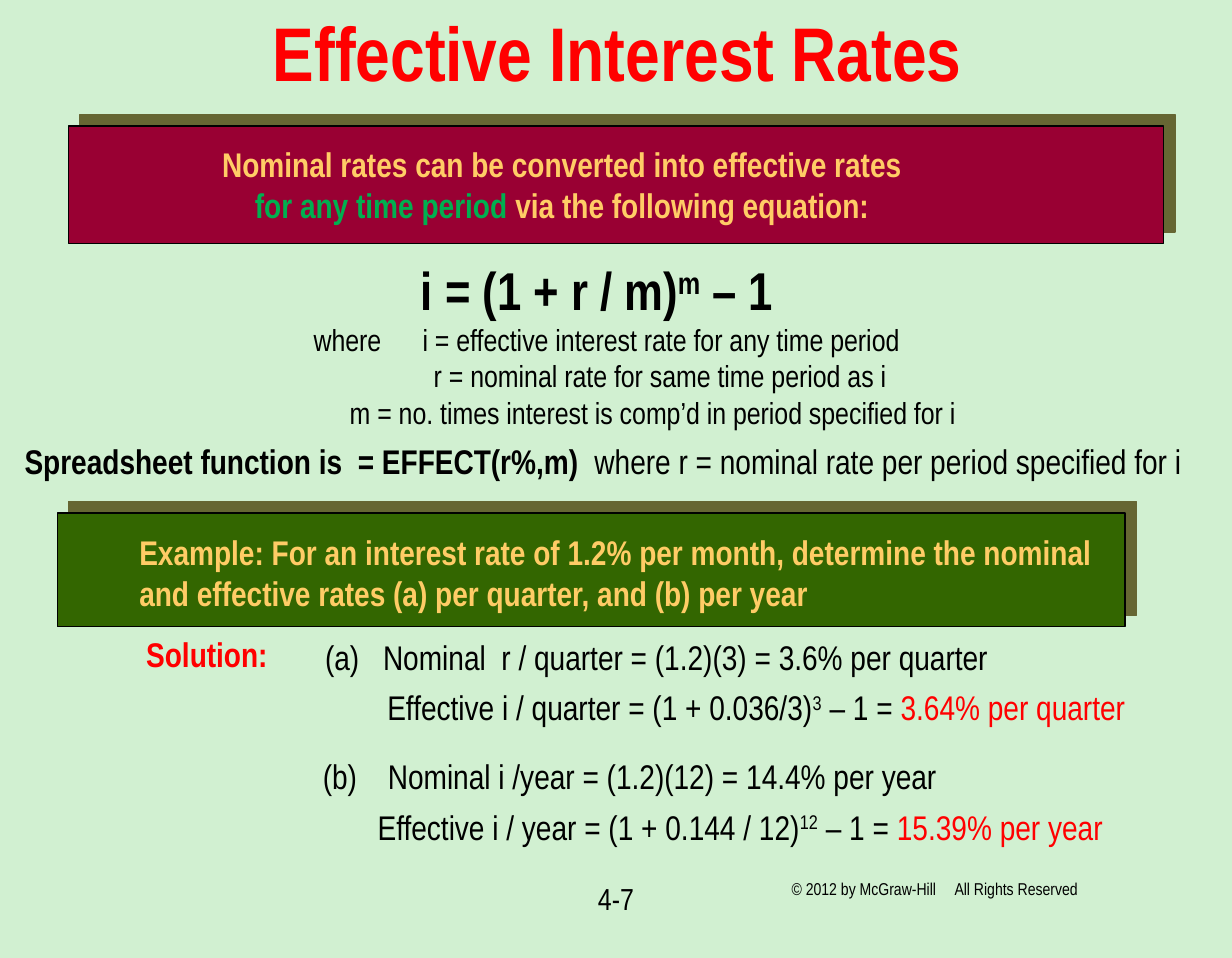
from lxml.etree import SubElement
from pptx import Presentation
from pptx.dml.color import RGBColor
from pptx.enum.shapes import MSO_SHAPE
from pptx.enum.text import MSO_ANCHOR, PP_ALIGN
from pptx.oxml.ns import qn
from pptx.util import Pt

BLACK = RGBColor(0, 0, 0)
RED = RGBColor(255, 0, 0)
GREEN = RGBColor(0, 0xB0, 0x50)
GOLD = RGBColor(255, 0xCC, 0x66)
WINE = RGBColor(0x99, 0, 0x33)
FOREST = RGBColor(0x33, 0x66, 0)
OLIVE = RGBColor(0x66, 0x66, 0x33)
MINT = RGBColor(0xD1, 0xF0, 0xD1)

deck = Presentation()
deck.slide_width, deck.slide_height = Pt(648), Pt(504)
slide = deck.slides.add_slide(deck.slide_layouts[6])
slide.background.fill.solid()
slide.background.fill.fore_color.rgb = MINT


def add_box(left, top, width, height, anchor=MSO_ANCHOR.TOP):
    frame = slide.shapes.add_textbox(Pt(left), Pt(top), Pt(width), Pt(height)).text_frame
    frame.word_wrap = True
    frame.vertical_anchor = anchor
    return frame


def add_line(frame, runs, size, color=BLACK, bold=False, align=PP_ALIGN.LEFT, margin=0, hang=0):
    first = frame.paragraphs[0]
    line = frame.add_paragraph() if first.runs else first
    line.alignment = align
    props = line._p.get_or_add_pPr()
    props.set("marL", str(Pt(margin)))
    props.set("indent", str(Pt(-hang)))
    for text, change in runs:
        run = line.add_run()
        run.text = text
        look = {"name": "Arial Narrow", "size": Pt(size), "bold": bold, "color": color, **change}
        run.font.color.rgb = look.pop("color")
        if look.pop("raised", False):
            run._r.get_or_add_rPr().set("baseline", "30000")
        for key, value in look.items():
            setattr(run.font, key, value)


MID = PP_ALIGN.CENTER
UP = {"raised": True}

page = add_box(280.8, 459.4, 86.4, 33.8)
add_line(page, [("4-7", {})], 16, align=MID)

title = add_box(18.7, 0, 612, 54, MSO_ANCHOR.MIDDLE)
add_line(title, [("Effective Interest Rates", {})], 40, RED, True, MID)

for left, top, width, height, fill in (
    (36, 66.2, 576, 62, WINE),
    (30.2, 270, 561.6, 59.8, FOREST),
):
    panel = slide.shapes.add_shape(MSO_SHAPE.RECTANGLE, Pt(left), Pt(top), Pt(width), Pt(height))
    panel.fill.solid()
    panel.fill.fore_color.rgb = fill
    panel.line.color.rgb = BLACK
    panel.line.width = Pt(0.75)
    panel.shadow.inherit = False
    effects = panel._element.spPr.find(qn("a:effectLst"))
    shadow = SubElement(effects, qn("a:outerShdw"), dist=str(Pt(8.5)), dir="18900000",
                        algn="ctr", rotWithShape="0")
    SubElement(shadow, qn("a:srgbClr"), val=str(OLIVE))

intro = add_box(70, 72, 451.4, 50.4)
add_line(intro, [("Nominal rates can be converted into effective rates", {})], 18, GOLD, True, MID)
add_line(intro, [("for any time period ", {"color": GREEN}), ("via the following equation:", {})],
         18, GOLD, True, MID)

rule = add_box(106, 131.8, 416, 98.6)
add_line(rule, [("i = (1 + r / m)", {}), ("m", UP), (" – 1", {})], 28, bold=True, align=MID)
for text, margin, hang in (
    ("where\ti = effective interest rate for any time period", 109.2, 57.3),
    ("r = nominal rate for same time period as i", 115.1, 0),
    ("m = no. times interest is comp’d in period specified for i", 70.9, 0),
):
    add_line(rule, [(text, {})], 16, margin=margin, hang=hang)

task = add_box(66.2, 275.8, 521.3, 50.4)
for text in (
    "Example: For an interest rate of 1.2% per month, determine the nominal",
    "and effective rates (a) per quarter, and (b) per year",
):
    add_line(task, [(text, {})], 18, GOLD, True)

for left, top, width, hang, runs in (
    (163.9, 331.2, 390, 30.5, [("(a)\tNominal  r / quarter = (1.2)(3) = 3.6% per quarter", {})]),
    (196.6, 357.8, 425, 0, [("Effective i / quarter = (1 + 0.036/3)", {}), ("3", UP),
                            (" – 1 = ", {}), ("3.64% per quarter", {"color": RED})]),
    (162.7, 393.8, 390, 34.2, [("(b)\tNominal i /year = (1.2)(12) = 14.4% per year", {})]),
    (191.5, 420.5, 425, 0, [("Effective i / year = (1 + 0.144 / 12)", {}), ("12", UP),
                            (" – 1 = ", {}), ("15.39% per year", {"color": RED})]),
    (69.8, 329.8, 90, 0, [("Solution:", {"color": RED, "bold": True})]),
    (5.8, 228.2, 630, 0, [("Spreadsheet function is  = EFFECT(r%,m)  ", {"bold": True}),
                          ("where r = nominal rate per period specified for i", {})]),
):
    add_line(add_box(left, top, width, 28.8), runs, 18, margin=hang, hang=hang)

rights = add_box(409.3, 458.6, 180, 20.9)
add_line(rights, [("© 2012 by McGraw-Hill\tAll Rights Reserved", {})], 9, margin=85.7, hang=85.7)

deck.save("out.pptx")
